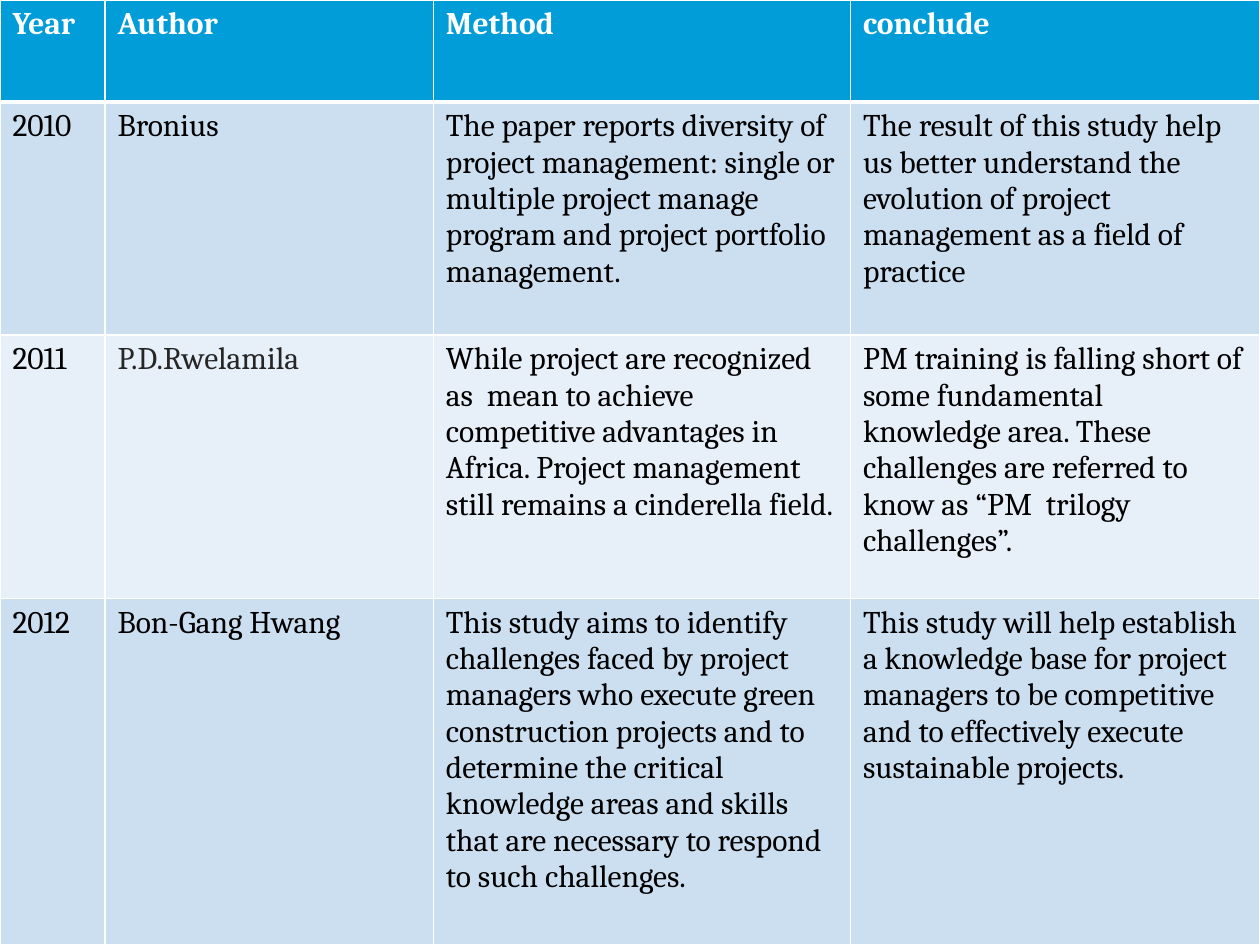
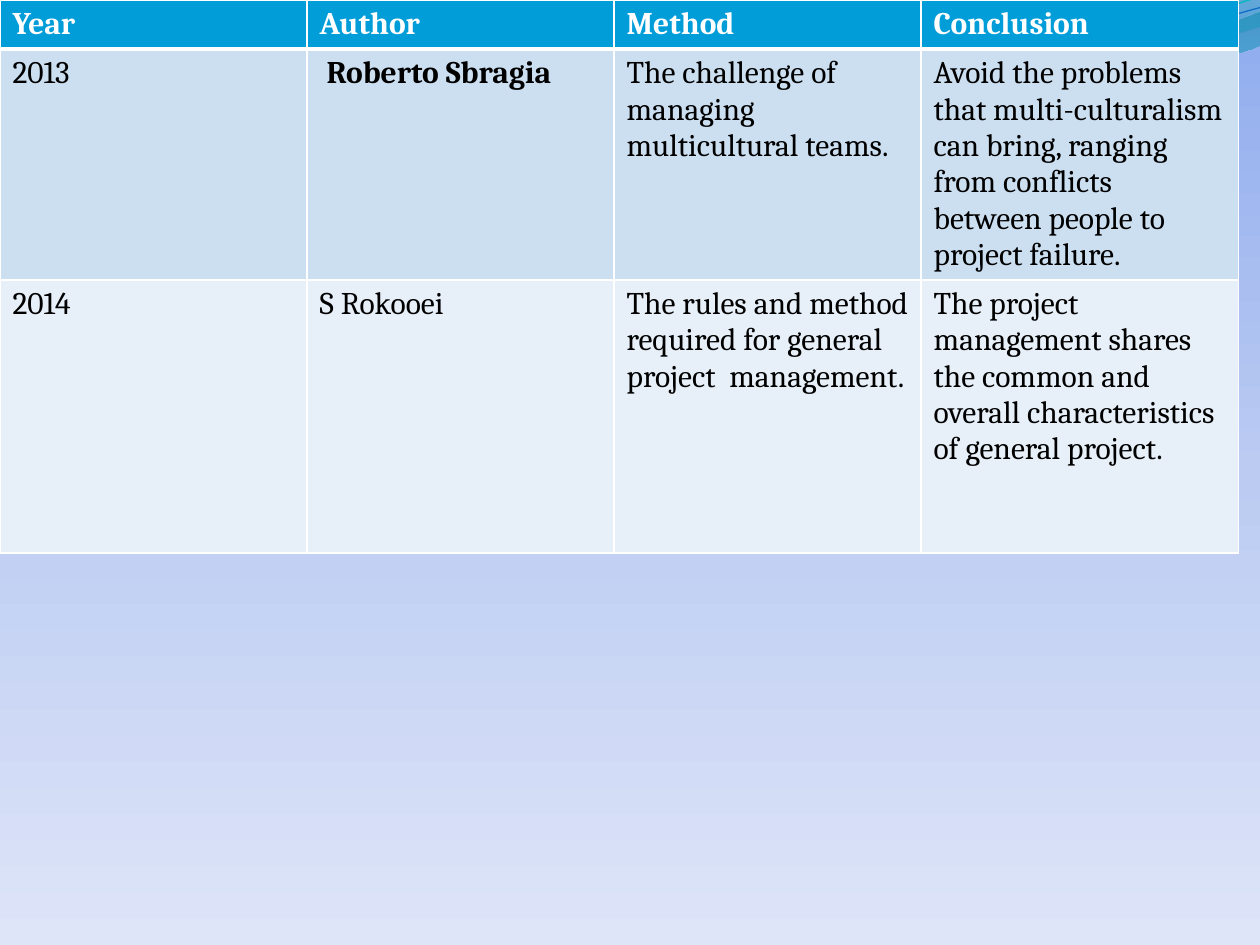
import math

from lxml import etree
from pptx import Presentation
from pptx import util as u
from pptx.dml.color import RGBColor
from pptx.oxml.ns import qn

COLORS = {
    "header": "009DD9", "band": "CCDFF1", "light_band": "E7EFF8",
    "white": "FFFFFF", "black": "000000", "gray": "262626",
}
FONT = "Cambria"
SKY = [(0, "8EABEE", 100), (50, "BBCBF2", 100), (100, "DEE5F8", 100)]

# Waves: box, start point, then lines (x, y) and curves (two handles and an end)
WAVES = [
    {"box": (-0.01, -0.01, 10.02, 1.14), "start": (0, 0),
     "steps": [(4.4, -0.01), (4.76, 0.17, 6.64, 0.63, 7.58, 0.63),
               (8.53, 0.63, 9.58, 0.26, 10, 0.09), (10.01, 0.36),
               (9.83, 0.44, 8.7, 0.76, 7.46, 0.75),
               (6.22, 0.75, 3.82, 0.28, 2.57, 0.34),
               (1.29, 0.36, 0.46, 0.83, -0.01, 1.13), (0, 0)],
     "stops": [(0, "0074A1", 45), (100, "00C6CF", 55)]},
    {"box": (4.79, -0.01, 5.21, 0.7), "start": (4.79, -0.01),
     "steps": [(5.09, 0.11, 6.82, 0.62, 7.69, 0.65),
               (8.56, 0.69, 9.61, 0.32, 10, 0.21), (10, 0), (4.79, -0.01)],
     "stops": [(0, "00A1A9", 30), (80, "008BBF", 45)]},
    {"box": (-0.02, 0.22, 10.02, 0.71), "turn": -2.7, "start": (0, 1.11),
     "steps": [(0.48, 0.93, 1.58, 0.57, 2.77, 0.52),
               (3.95, 0.47, 5.93, 0.89, 7.13, 0.8),
               (8.33, 0.71, 9.38, 0.15, 9.98, -0.02)],
     "line": ("0AB8BF", 0.85)},
    {"box": (-0.02, 0.3, 10.03, 0.58), "turn": -2.7, "start": (0, 1.04),
     "steps": [(0.47, 0.96, 1.64, 0.61, 2.83, 0.56),
               (4.03, 0.51, 5.97, 0.84, 7.17, 0.75),
               (8.36, 0.67, 9.41, 0.21, 10, 0.06)],
     "line": ("0F6FC6", 0.75)},
]

REVIEWS = [
    {"columns": [10 / 12, 3.44 - 10 / 12, 3.31, 3.25],
     "heights": [0.81, 1.85, 2.09, 2.75], "frame_height": 7.5,
     "rows": [
         ["Year", "Author", "Method", "conclude"],
         ["2010", "Bronius",
          "The paper reports diversity of project management: single or multiple "
          "project manage program and project portfolio management.",
          "The result of this study help us better understand the evolution of "
          "project management as a field of practice"],
         ["2011", "P.D.Rwelamila",
          "While project are recognized as  mean to achieve competitive advantages "
          "in Africa. Project management still remains a cinderella field.",
          "PM training is falling short of some fundamental knowledge area. These "
          "challenges are referred to know as “PM  trilogy challenges”."],
         ["2012", "Bon-Gang Hwang",
          "This study aims to identify challenges faced by project managers who "
          "execute green construction projects and to determine the critical "
          "knowledge areas and skills that are necessary to respond to such "
          "challenges.",
          "This study will help establish a knowledge base for project managers to "
          "be competitive and to effectively execute sustainable projects."],
     ],
     "special": {(2, 1): {"color": "gray"}}},
    {"columns": [(9.83 - 2.52) / 3] * 3 + [2.52],
     "heights": [0.38, 1.78, 2.17], "frame_height": 4.77,
     "rows": [
         ["Year", "Author", "Method", "Conclusion"],
         ["2013", " Roberto Sbragia",
          "The challenge of managing multicultural teams.",
          "Avoid the problems that multi-culturalism can bring, ranging from "
          "conflicts between people to project failure."],
         ["2014", "S Rokooei",
          "The rules and method required for general project  management.",
          "The project management shares the common and overall characteristics of "
          "general project."],
     ],
     "special": {(1, 1): {"bold": True}}},
]


def write_text(box, words, size=18, color="black", bold=False):
    span = box.text_frame.paragraphs[0].add_run()
    span.text = words
    span.font.name = FONT
    span.font.size = u.Pt(size)
    span.font.bold = bold
    span.font.color.rgb = RGBColor.from_string(COLORS[color])


def fill_downward(fill, holder, stops):
    """Fill from top to bottom with (percent, colour, opacity) stops."""
    fill.gradient()
    fill.gradient_angle = 270
    stop_list = next(holder.iter(qn("a:gsLst")))
    for old in list(stop_list):
        stop_list.remove(old)
    for percent, color, opacity in stops:
        stop = etree.SubElement(stop_list, qn("a:gs"), pos=str(percent * 1000))
        shade = etree.SubElement(stop, qn("a:srgbClr"), val=color)
        if opacity < 100:
            etree.SubElement(shade, qn("a:alpha"), val=str(opacity * 1000))


deck = Presentation()
deck.slide_width, deck.slide_height = u.Inches(10), u.Inches(7.5)
master = deck.slide_master
pages = [deck.slides.add_slide(deck.slide_layouts[6]) for _ in REVIEWS]

# Shared background
fill_downward(master.background.fill, master.element, SKY)

# Shared waves, drawn once and moved to the master
for number, wave in enumerate(WAVES):
    left, top, width, height = wave["box"]
    middle_x, middle_y = left + width / 2, top + height / 2
    turn = wave.get("turn", 0)
    cos, sin = math.cos(math.radians(-turn)), math.sin(math.radians(-turn))
    outline = pages[0].shapes.build_freeform(0, 0)
    outline.add_line_segments([(u.Inches(width), u.Inches(height))], close=False)
    shape = outline.convert_to_shape()
    shape.left, shape.top = u.Inches(left), u.Inches(top)
    shape.rotation = turn

    # Curves, with each point turned back into the frame of its box
    curve = next(shape.element.iter(qn("a:path")))
    for old in list(curve):
        curve.remove(old)
    for step in [wave["start"], *wave["steps"]]:
        kind = "cubicBezTo" if len(step) == 6 else "lnTo" if len(curve) else "moveTo"
        move = etree.SubElement(curve, qn(f"a:{kind}"))
        for x, y in zip(step[::2], step[1::2]):
            dx, dy = x - middle_x, y - middle_y
            etree.SubElement(
                move, qn("a:pt"),
                x=str(u.Inches(width / 2 + dx * cos - dy * sin)),
                y=str(u.Inches(height / 2 + dx * sin + dy * cos)))

    shape.shadow.inherit = False
    if "stops" in wave:
        etree.SubElement(curve, qn("a:close"))
        fill_downward(shape.fill, shape.element, wave["stops"])
        shape.line.fill.background()
    else:
        color, weight = wave["line"]
        shape.fill.background()
        shape.line.color.rgb = RGBColor.from_string(color)
        shape.line.width = u.Pt(weight)
    shape.element.nvSpPr.cNvPr.set("id", str(20 + number))
    master.shapes.element.insert(2 + number, shape.element)

# Literature tables
for page, review in zip(pages, REVIEWS):
    columns, heights = review["columns"], review["heights"]
    frame = page.shapes.add_table(
        len(heights), len(columns), 0, 0,
        u.Inches(sum(columns)), u.Inches(sum(heights)))
    table = frame.table
    for column, width in zip(table.columns, columns):
        column.width = u.Inches(width)
    for r, words_in_row in enumerate(review["rows"]):
        table.rows[r].height = u.Inches(heights[r])
        band = "header" if r == 0 else "band" if r % 2 else "light_band"
        style = {"color": "white", "bold": True} if r == 0 else {}
        for c, words in enumerate(words_in_row):
            cell = table.cell(r, c)
            write_text(cell, words, **{**style, **review["special"].get((r, c), {})})
            cell.fill.solid()
            cell.fill.fore_color.rgb = RGBColor.from_string(COLORS[band])
            # White borders, thicker under the header
            for place, side in enumerate("LRTB"):
                thick = (r, side) in ((0, "B"), (1, "T"))
                border = etree.Element(qn(f"a:ln{side}"), w=str(u.Pt(3 if thick else 1)))
                paint = etree.SubElement(border, qn("a:solidFill"))
                etree.SubElement(paint, qn("a:srgbClr"), val=COLORS["white"])
                cell._tc.get_or_add_tcPr().insert(place, border)
    frame.height = u.Inches(review["frame_height"])

deck.save("out.pptx")
